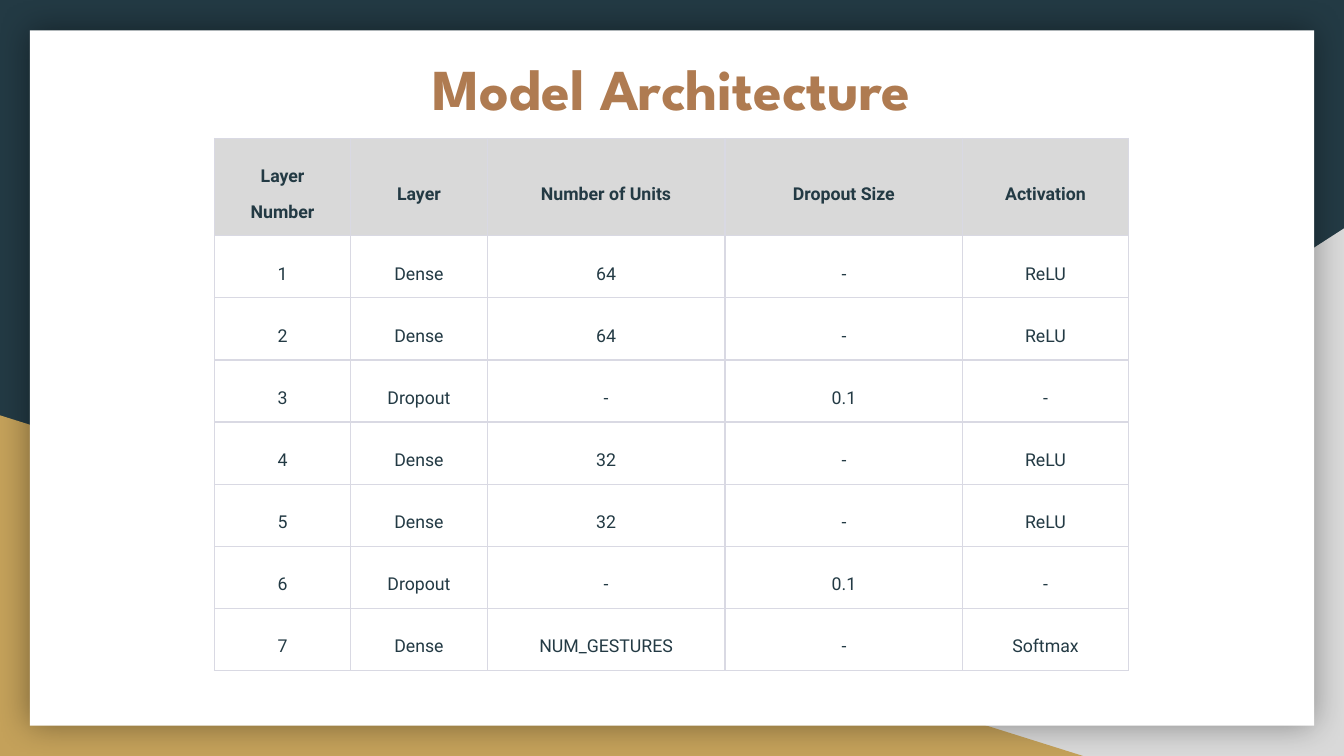
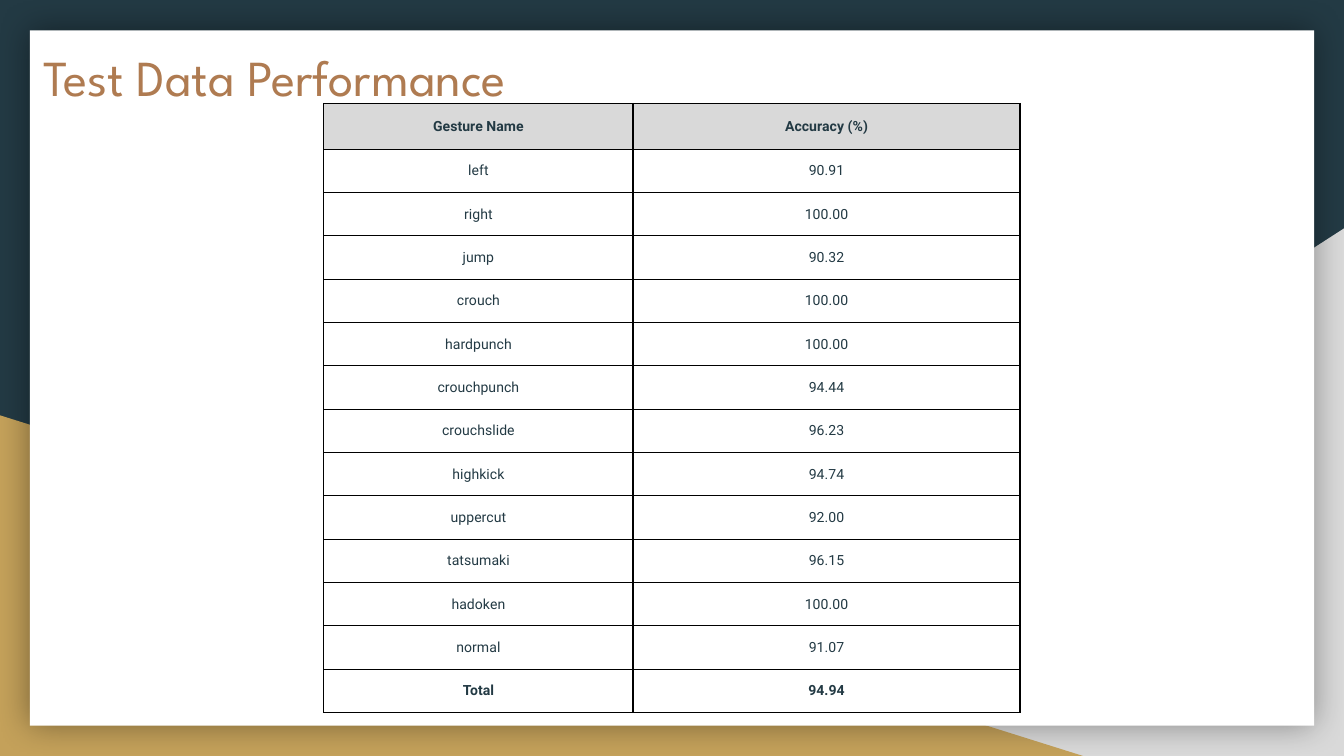
from dataclasses import dataclass

from lxml.etree import SubElement
from pptx import Presentation
from pptx.dml.color import RGBColor
from pptx.enum.shapes import MSO_SHAPE
from pptx.enum.text import MSO_ANCHOR, MSO_AUTO_SIZE, PP_ALIGN
from pptx.oxml import parse_xml
from pptx.oxml.ns import nsdecls, qn
from pptx.util import Inches, Pt


@dataclass(frozen=True)
class Theme:
    navy: str = "233A44"
    gold: str = "C4A15A"
    grey: str = "D9D9D9"
    white: str = "FFFFFF"
    copper: str = "AF7B51"
    lilac: str = "D9D9E3"
    black: str = "000000"
    title_font: str = "League Spartan"
    body_font: str = "Roboto"
    title_big: float = 31
    title_small: float = 27
    table_big: float = 9.5
    table_small: float = 7.5
    border: float = 0.75
    inset: float = 1  # grid units


class Deck:
    """Style and current slide; lengths are in grid units of 1% of slide width."""

    def __init__(self, theme):
        self.theme = theme
        self.prs = Presentation()
        self.prs.slide_width, self.prs.slide_height = Inches(10), Inches(5.625)
        self.unit = self.prs.slide_width / 100
        self.bottom = self.prs.slide_height / self.unit
        self.layout = self.prs.slide_layouts[5]
        self.s = None

    def grid(self, *lengths):
        return [round(n * self.unit) for n in lengths]

    def slide(self):
        self.s = self.prs.slides.add_slide(self.layout)

    def shape(self, kind, box, color):
        sp = self.s.shapes.add_shape(kind, *self.grid(*box))
        sp.shadow.inherit = False
        sp.fill.solid()
        sp.fill.fore_color.rgb = RGBColor.from_string(color)
        sp.line.fill.background()
        return sp

    def backdrop(self):
        """Draw the shared backdrop and move it into the layout."""
        t = self.theme
        fill = self.prs.slide_master.background.fill
        fill.solid()
        fill.fore_color.rgb = RGBColor.from_string(t.navy)
        right = self.shape(MSO_SHAPE.RIGHT_TRIANGLE,
                           (39.2, 17, 60.8, self.bottom - 17), t.grey)
        right.element.spPr.xfrm.set("flipH", "1")
        left = self.shape(MSO_SHAPE.RIGHT_TRIANGLE,
                          (0, 30.9, 80.6, self.bottom - 30.9), t.gold)
        card = self.shape(MSO_SHAPE.RECTANGLE, (2.23, 2.25, 95.55, 51.75), t.white)
        effects = card.element.spPr.find(qn("a:effectLst"))
        effects.append(parse_xml(
            f'<a:outerShdw {nsdecls("a")} blurRad="{Pt(18)}" dist="0" dir="0" '
            f'algn="bl" rotWithShape="0"><a:srgbClr val="{t.black}">'
            '<a:alpha val="40000"/></a:srgbClr></a:outerShdw>'))
        tree = self.layout.shapes.element
        for i, sp in enumerate((right, left, card)):
            sp.element.nvSpPr.cNvPr.set("id", str(100 + i))
            tree.insert(2 + i, sp.element)

    def font(self, p, name, size, color, bold):
        p.font.name, p.font.size, p.font.bold = name, Pt(size), bold
        p.font.color.rgb = RGBColor.from_string(color)

    def title(self, text, box, size, bold=False, align=PP_ALIGN.LEFT,
              anchor=MSO_ANCHOR.TOP):
        t, sp = self.theme, self.s.shapes.title
        sp.left, sp.top, sp.width, sp.height = self.grid(*box)
        tf = sp.text_frame
        tf.text = text
        tf.word_wrap, tf.auto_size = True, MSO_AUTO_SIZE.NONE
        tf.vertical_anchor = anchor
        inset, = self.grid(t.inset)
        tf.margin_left = tf.margin_right = tf.margin_top = tf.margin_bottom = inset
        p = tf.paragraphs[0]
        p.alignment = align
        self.font(p, t.title_font, size, t.copper, bold)

    def borders(self, cell, color):
        tc_pr = cell._tc.get_or_add_tcPr()
        for i, side in enumerate(("lnL", "lnR", "lnT", "lnB")):
            ln = parse_xml(f'<a:{side} {nsdecls("a")} w="{Pt(self.theme.border)}"/>')
            fill = SubElement(ln, qn("a:solidFill"))
            SubElement(fill, qn("a:srgbClr"), val=color)
            tc_pr.insert(i, ln)

    def table(self, rows, at, cols, head, row, size, border, body=None,
              spacing=None, bold_last=False):
        t = self.theme
        heights = [head] + [row] * (len(rows) - 1)
        box = self.grid(*at, sum(cols), sum(heights))
        tbl = self.s.shapes.add_table(len(rows), len(cols), *box).table
        tbl.horz_banding = False
        for column, width in zip(tbl.columns, self.grid(*cols)):
            column.width = width
        for line, height in zip(tbl.rows, self.grid(*heights)):
            line.height = height
        inset, = self.grid(t.inset)
        for i, values in enumerate(rows):
            bold = i == 0 or (bold_last and i == len(rows) - 1)
            color = t.grey if i == 0 else body
            for j, value in enumerate(values):
                cell = tbl.cell(i, j)
                cell.text = value
                cell.vertical_anchor = MSO_ANCHOR.MIDDLE
                cell.margin_left = cell.margin_right = inset
                cell.margin_top = cell.margin_bottom = inset
                if color:
                    cell.fill.solid()
                    cell.fill.fore_color.rgb = RGBColor.from_string(color)
                else:
                    cell.fill.background()
                self.borders(cell, border)
                p = cell.text_frame.paragraphs[0]
                p.alignment, p.line_spacing = PP_ALIGN.CENTER, spacing
                self.font(p, t.body_font, size, t.navy, bold)


LAYERS = [
    ("Layer Number", "Layer", "Number of Units", "Dropout Size", "Activation"),
    ("1", "Dense", "64", "-", "ReLU"),
    ("2", "Dense", "64", "-", "ReLU"),
    ("3", "Dropout", "-", "0.1", "-"),
    ("4", "Dense", "32", "-", "ReLU"),
    ("5", "Dense", "32", "-", "ReLU"),
    ("6", "Dropout", "-", "0.1", "-"),
    ("7", "Dense", "NUM_GESTURES", "-", "Softmax"),
]

ACCURACY = [
    ("Gesture Name", "Accuracy (%)"),
    ("left", "90.91"),
    ("right", "100.00"),
    ("jump", "90.32"),
    ("crouch", "100.00"),
    ("hardpunch", "100.00"),
    ("crouchpunch", "94.44"),
    ("crouchslide", "96.23"),
    ("highkick", "94.74"),
    ("uppercut", "92.00"),
    ("tatsumaki", "96.15"),
    ("hadoken", "100.00"),
    ("normal", "91.07"),
    ("Total", "94.94"),
]


def main():
    t = Theme()
    deck = Deck(t)

    # Model architecture
    deck.slide()
    deck.backdrop()
    deck.title("Model Architecture", (28.9, 3, 42.1, 7), t.title_big, bold=True,
               align=PP_ALIGN.CENTER, anchor=MSO_ANCHOR.MIDDLE)
    deck.table(LAYERS, (15.95, 10.3), (10.15, 10.15, 17.7, 17.7, 12.3), 3.6, 3.4,
               t.table_big, t.lilac, body=t.white, spacing=1.71)

    # Test data performance
    deck.slide()
    deck.title("Test Data Performance", (2.2, 2.4, 82.1, 6.6), t.title_small)
    deck.table(ACCURACY, (24.1, 7.7), (23, 28.8), 3.4, 3.1,
               t.table_small, t.black, bold_last=True)

    deck.prs.save("out.pptx")


if __name__ == "__main__":
    main()
